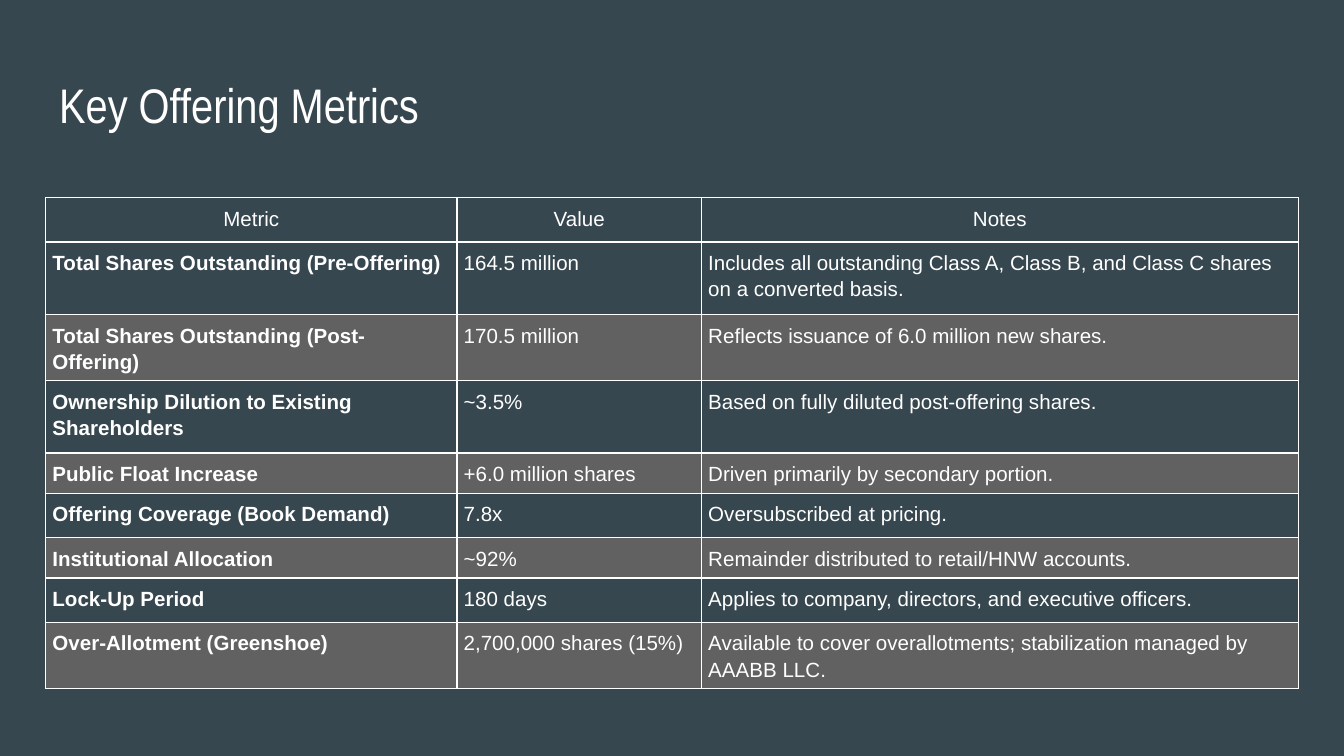
import pptx
import pptx.dml.color
import pptx.enum.text
import pptx.oxml.ns
import pptx.util
from lxml import etree

WHITE = pptx.dml.color.RGBColor(0xFF, 0xFF, 0xFF)
SLATE = pptx.dml.color.RGBColor(0x37, 0x47, 0x4F)
BAND_GREY = pptx.dml.color.RGBColor(0x61, 0x61, 0x61)

SLIDE_WIDTH = 10
SLIDE_HEIGHT = SLIDE_WIDTH * 9 / 16
MARGIN = 0.34
CONTENT_WIDTH = SLIDE_WIDTH - 2 * MARGIN
TABLE_TOP = 1.47
METRIC_WIDTH, VALUE_WIDTH = 3.06, 1.82
COLUMN_WIDTHS = [METRIC_WIDTH, VALUE_WIDTH, CONTENT_WIDTH - METRIC_WIDTH - VALUE_WIDTH]
ROW_HEIGHTS = [0.33, 0.54, 0.3, 0.54, 0.3, 0.33, 0.3, 0.33, 0.3]
CELL_INSET = pptx.util.Inches(0.05)

HEADINGS = ("Metric", "Value", "Notes")
METRICS = [
    ("Total Shares Outstanding (Pre-Offering)", "164.5 million",
     "Includes all outstanding Class A, Class B, and Class C shares on a converted basis."),
    ("Total Shares Outstanding (Post-Offering)", "170.5 million",
     "Reflects issuance of 6.0 million new shares."),
    ("Ownership Dilution to Existing Shareholders", "~3.5%",
     "Based on fully diluted post-offering shares."),
    ("Public Float Increase", "+6.0 million shares",
     "Driven primarily by secondary portion."),
    ("Offering Coverage (Book Demand)", "7.8x", "Oversubscribed at pricing."),
    ("Institutional Allocation", "~92%",
     "Remainder distributed to retail/HNW accounts."),
    ("Lock-Up Period", "180 days",
     "Applies to company, directors, and executive officers."),
    ("Over-Allotment (Greenshoe)", "2,700,000 shares (15%)",
     "Available to cover overallotments; stabilization managed by AAABB LLC."),
]


def add_run(paragraph, text, font_name, size, bold=False):
    run = paragraph.add_run()
    run.text = text
    run.font.name = font_name
    run.font.size = pptx.util.Pt(size)
    run.font.bold = bold
    run.font.color.rgb = WHITE


def set_insets(frame, inset):
    frame.margin_left = frame.margin_right = inset
    frame.margin_top = frame.margin_bottom = inset


def add_title(slide, text):
    title = slide.shapes.title
    title.left, title.top = pptx.util.Inches(MARGIN), pptx.util.Inches(0.49)
    title.width, title.height = pptx.util.Inches(CONTENT_WIDTH), pptx.util.Inches(0.63)
    frame = title.text_frame
    frame.word_wrap = True
    frame.auto_size = pptx.enum.text.MSO_AUTO_SIZE.NONE
    frame.vertical_anchor = pptx.enum.text.MSO_ANCHOR.MIDDLE
    set_insets(frame, pptx.util.Inches(0.1))
    paragraph = frame.paragraphs[0]
    paragraph.alignment = pptx.enum.text.PP_ALIGN.LEFT
    paragraph.line_spacing = 0.9
    add_run(paragraph, text, "Arial Narrow", 26)


def set_borders(cell):
    """Draw all four sides; must precede the fill in the cell's XML."""
    qn = pptx.oxml.ns.qn
    properties = cell._tc.get_or_add_tcPr()
    for side in ("lnL", "lnR", "lnT", "lnB"):
        line = etree.SubElement(properties, qn(f"a:{side}"), w=str(pptx.util.Pt(0.75)))
        line_fill = etree.SubElement(line, qn("a:solidFill"))
        etree.SubElement(line_fill, qn("a:srgbClr"), val=str(WHITE))


def fill_cell(cell, text, heading, bold, banded):
    set_insets(cell, CELL_INSET)
    set_borders(cell)
    if banded:
        cell.fill.solid()
        cell.fill.fore_color.rgb = BAND_GREY
    else:
        cell.fill.background()
    align = pptx.enum.text.PP_ALIGN
    paragraph = cell.text_frame.paragraphs[0]
    paragraph.alignment = align.CENTER if heading else align.LEFT
    paragraph.line_spacing = 1.15
    add_run(paragraph, text, "Arial", 11, bold)


def add_metrics_table(slide):
    rows = [HEADINGS, *METRICS]
    metrics = slide.shapes.add_table(
        len(rows), len(HEADINGS),
        pptx.util.Inches(MARGIN), pptx.util.Inches(TABLE_TOP),
        pptx.util.Inches(CONTENT_WIDTH), pptx.util.Inches(sum(ROW_HEIGHTS)),
    ).table
    metrics.first_row = metrics.horz_banding = False
    for column, width in zip(metrics.columns, COLUMN_WIDTHS):
        column.width = pptx.util.Inches(width)
    for row, height in zip(metrics.rows, ROW_HEIGHTS):
        row.height = pptx.util.Inches(height)
    for r, texts in enumerate(rows):
        for c, text in enumerate(texts):
            fill_cell(metrics.cell(r, c), text, heading=r == 0,
                      bold=r > 0 and c == 0, banded=r > 0 and r % 2 == 0)


def main():
    deck = pptx.Presentation()
    deck.slide_width = pptx.util.Inches(SLIDE_WIDTH)
    deck.slide_height = pptx.util.Inches(SLIDE_HEIGHT)
    slide = deck.slides.add_slide(deck.slide_layouts[5])
    slide.background.fill.solid()
    slide.background.fill.fore_color.rgb = SLATE
    add_metrics_table(slide)
    add_title(slide, "Key Offering Metrics")
    deck.save("out.pptx")


if __name__ == "__main__":
    main()
